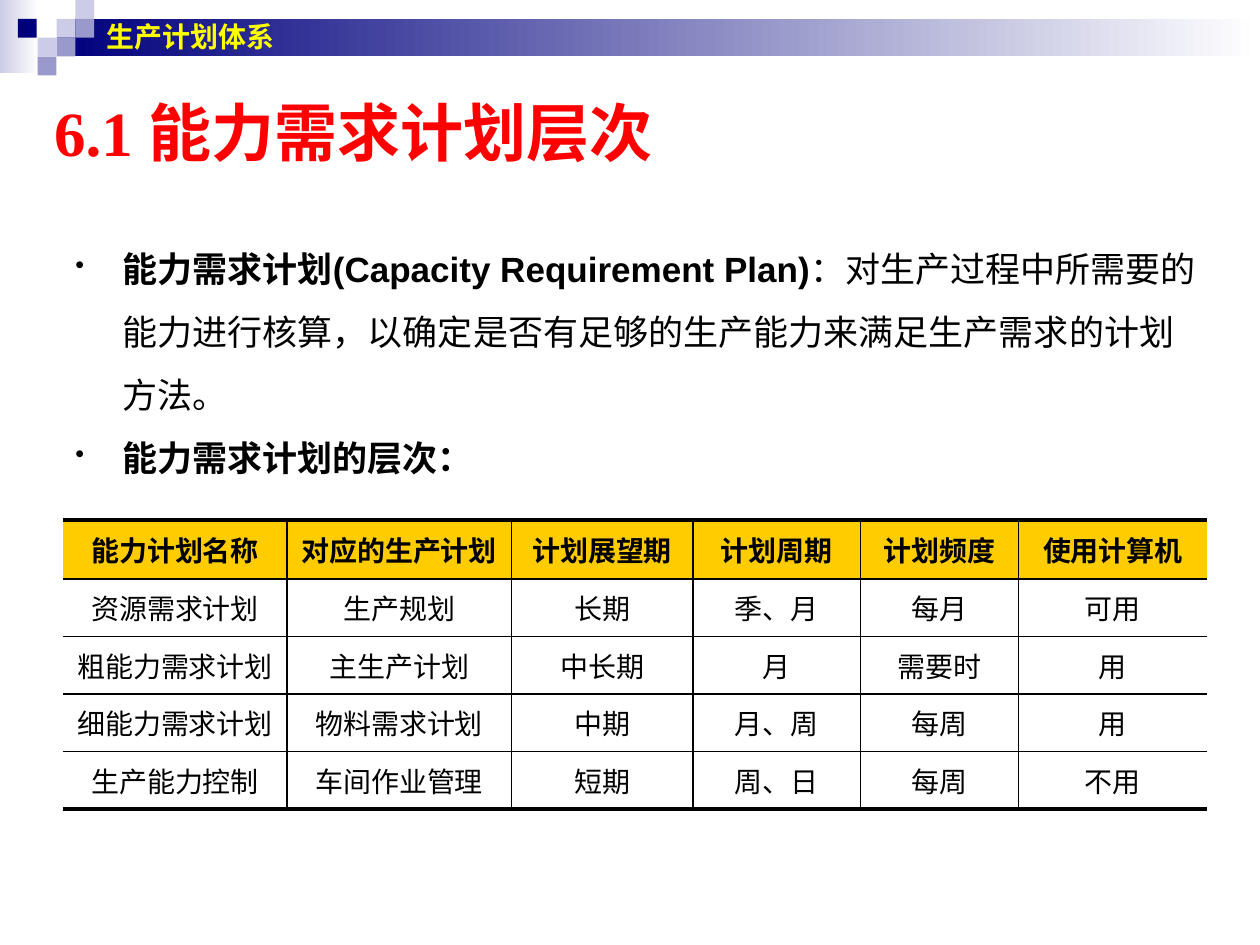
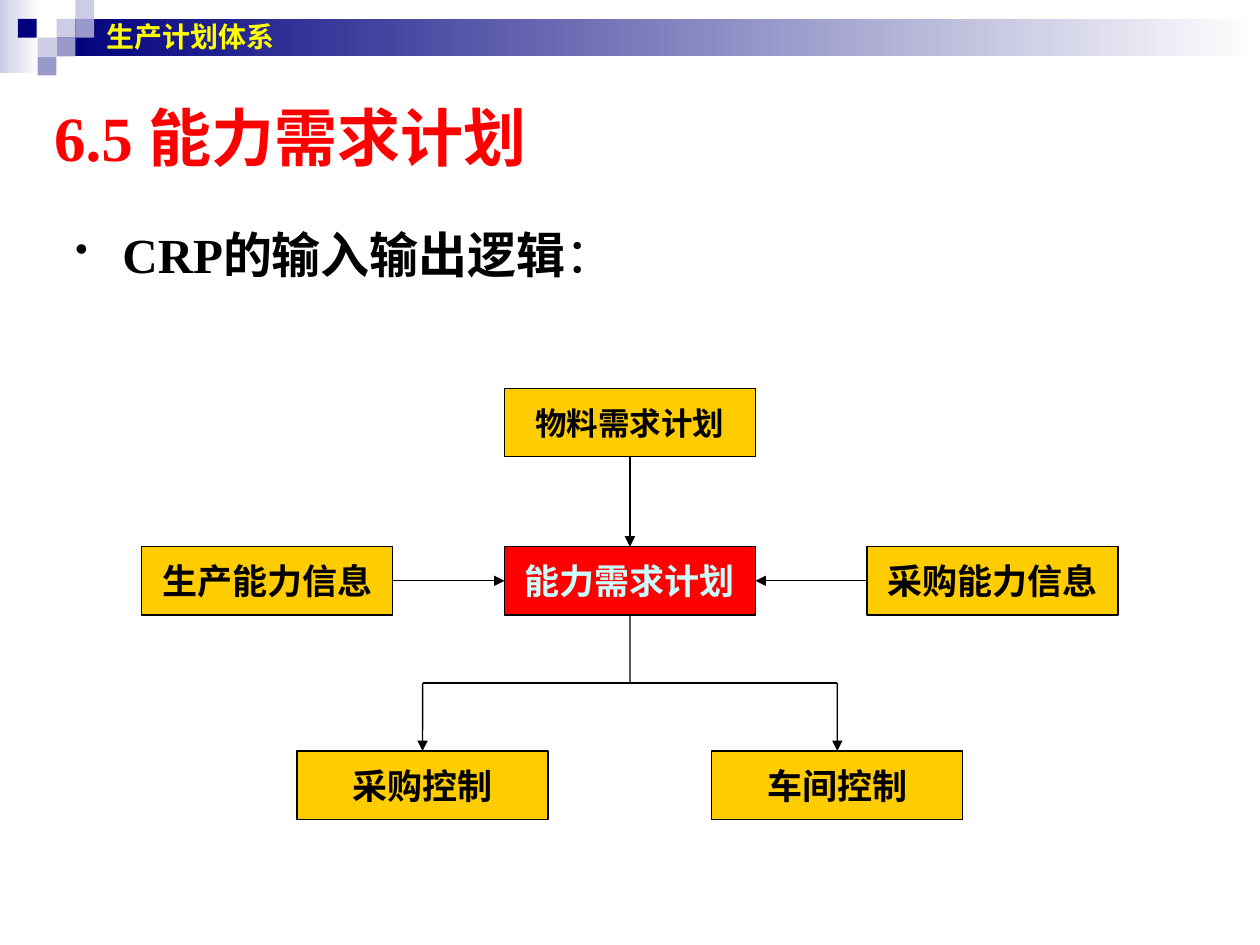
from lxml import etree
from pptx import Presentation
from pptx import util as u
from pptx.dml.color import RGBColor
from pptx.enum import lang, shapes, text
from pptx.oxml import ns

COLORS = {
    "black": "000000", "white": "FFFFFF", "navy": "00007D",
    "lilac": "9999CC", "pale": "CCCCE6", "yellow": "FFFF00",
    "red": "FF0000", "gold": "FFCC00", "ice": "CCFFFF",
}
SERIF, SANS = "Times New Roman", "Arial"
TILE = 0.38
CENTER_X = 12.7
BOX_WIDTH, BOX_HEIGHT = 5.06, 1.38

CAPACITY_ROWS = [
    ["能力计划名称", "对应的生产计划", "计划展望期", "计划周期", "计划频度", "使用计算机"],
    ["资源需求计划", "生产规划", "长期", "季、月", "每月", "可用"],
    ["粗能力需求计划", "主生产计划", "中长期", "月", "需要时", "用"],
    ["细能力需求计划", "物料需求计划", "中期", "月、周", "每周", "用"],
    ["生产能力控制", "车间作业管理", "短期", "周、日", "每周", "不用"],
]
COLUMN_WIDTHS = [4.52, 4.52, 3.66, 3.38, 3.18, 3.81]


def color(name):
    """Return the named colour."""
    return RGBColor.from_string(COLORS[name])


def cm(*lengths):
    """Convert centimetre numbers to lengths."""
    return [u.Cm(length) for length in lengths]


def child(parent, tag, **attributes):
    """Append a drawing element with attributes."""
    return etree.SubElement(parent, ns.qn(tag), {k: str(v) for k, v in attributes.items()})


def add_bullet(para):
    """Give a paragraph a small round bullet with a hanging indent."""
    props = para._p.get_or_add_pPr()
    props.set("marL", str(u.Cm(0.95)))
    props.set("indent", str(u.Cm(-0.95)))
    child(child(props, "a:buClr"), "a:srgbClr", val=COLORS["black"])
    child(props, "a:buSzPct", val=75000)
    child(props, "a:buChar", char="•")


def write(frame, *paras, size, font=SANS, ink="black", align=None,
          anchor="MIDDLE", bullet=False, spacing=None):
    """Write paragraphs, each a list of (text, bold) spans."""
    frame.word_wrap = True
    frame.vertical_anchor = text.MSO_ANCHOR[anchor]
    for index, spans in enumerate(paras):
        para = frame.add_paragraph() if index else frame.paragraphs[0]
        if bullet:
            add_bullet(para)
        para.alignment = align
        para.line_spacing = spacing
        for words, bold in spans:
            span = para.add_run()
            span.text = words
            span.font.size = u.Pt(size)
            span.font.name = font
            span.font.bold = bold
            span.font.color.rgb = color(ink)
            span.font.language_id = lang.MSO_LANGUAGE_ID.SIMPLIFIED_CHINESE


def add_text(page, place, *paras, **style):
    """Add a text box at (left, top, width, height)."""
    box = page.shapes.add_textbox(*cm(*place))
    write(box.text_frame, *paras, **style)


def add_rect(page, place, fill, fade=None, outline=None):
    """Add a rectangle with a solid fill or a fade to a second colour."""
    box = page.shapes.add_shape(shapes.MSO_SHAPE.RECTANGLE, *cm(*place))
    box.shadow.inherit = False
    if fade:
        box.fill.gradient()
        box.fill.gradient_angle = 0
        for stop, name in zip(box.fill.gradient_stops, (fill, fade)):
            stop.color.rgb = color(name)
    else:
        box.fill.solid()
        box.fill.fore_color.rgb = color(fill)
    if outline:
        box.line.color.rgb = color(outline)
        box.line.width = u.Pt(0.75)
    else:
        box.line.fill.background()
    return box


def add_box(page, middle, top, label, fill="gold", size=20, font=SERIF, ink="black"):
    """Add a labelled diagram box centred on a horizontal position."""
    place = (middle - BOX_WIDTH / 2, top, BOX_WIDTH, BOX_HEIGHT)
    box = add_rect(page, place, fill, outline="black")
    write(box.text_frame, [(label, True)], size=size, font=font, ink=ink,
          align=text.PP_ALIGN.CENTER)
    return box


def add_link(page, start, finish, arrow=True):
    """Draw a line between ends, each an (x, y) point or a (box, side) joint."""
    joints = [hasattr(end[0], "shape_id") for end in (start, finish)]
    points = [(0, 0) if joined else cm(*end) for joined, end in zip(joints, (start, finish))]
    link = page.shapes.add_connector(shapes.MSO_CONNECTOR.STRAIGHT, *points[0], *points[1])
    if joints[0]:
        link.begin_connect(*start)
    if joints[1]:
        link.end_connect(*finish)
    link.line.color.rgb = color("black")
    link.line.width = u.Pt(0.75)
    if arrow:
        child(link.line._get_or_add_ln(), "a:tailEnd", type="triangle")
    child(link._element.spPr, "a:effectLst")


def add_border(cell, side, points):
    """Rule one side of a cell, or clear it when points is 0."""
    line = child(cell._tc.get_or_add_tcPr(), f"a:ln{side}", w=u.Pt(points))
    if points:
        child(child(line, "a:solidFill"), "a:srgbClr", val=COLORS["black"])
    else:
        child(line, "a:noFill")


def add_table(page, left, top, rows, widths, heights):
    """Add a ruled table with a gold heading row and open sides."""
    place = cm(left, top, sum(widths), sum(heights))
    table = page.shapes.add_table(len(rows), len(widths), *place).table
    table.first_row = table.horz_banding = False
    for column, width in zip(table.columns, widths):
        column.width = u.Cm(width)
    last_row, last_column = len(rows) - 1, len(widths) - 1
    for r, labels in enumerate(rows):
        table.rows[r].height = u.Cm(heights[r])
        for c, label in enumerate(labels):
            cell = table.cell(r, c)
            add_border(cell, "L", 1 if c else 0)
            add_border(cell, "R", 1 if c < last_column else 0)
            add_border(cell, "T", 1 if r else 2.25)
            add_border(cell, "B", 1 if r < last_row else 2.25)
            if r:
                cell.fill.background()
            else:
                cell.fill.solid()
                cell.fill.fore_color.rgb = color("gold")
            write(cell.text_frame, [(label, r == 0)], size=16, align=text.PP_ALIGN.CENTER)
            cell.vertical_anchor = text.MSO_ANCHOR.MIDDLE


def add_page(deck, title, top, height):
    """Add a page with the header band, its tiles and a red title."""
    page = deck.slides.add_slide(deck.slide_layouts[6])
    add_rect(page, (0, 0, 0.79, 1.47), "pale", fade="white")
    add_rect(page, (3 * TILE, TILE, 25.4 - 3 * TILE, 2 * TILE), "navy", fade="white")
    tiles = [(3, 1, "pale"), (4, 0, "pale"), (4, 1, "lilac"), (2, 2, "pale"),
             (0.95, 1, "navy"), (3, 2, "lilac"), (2, 3, "lilac")]
    for column, row, fill in tiles:
        add_rect(page, (column * TILE, row * TILE, TILE, TILE), fill)
    add_text(page, (0.84, top, 22.86, height), [(title, True)],
             size=36, font=SERIF, ink="red")
    add_text(page, (1.9, 0, 22.43, 1.47), [("生产计划体系", True)], size=16, ink="yellow")
    return page


def add_levels_page(deck):
    """Add the page on the levels of capacity planning."""
    page = add_page(deck, "6.1 能力需求计划层次", 1.7, 1.9)
    add_text(page, (1.27, 4.44, 23.29, 5.28),
             [("能力需求计划(Capacity Requirement Plan)", True),
              ("：对生产过程中所需要的能力进行核算，以确定是否有足够的生产能力来满足生产需求的计划方法。", False)],
             [("能力需求计划的层次：", True)],
             size=20, anchor="TOP", bullet=True, spacing=1.5)
    add_table(page, 1.27, 10.48, CAPACITY_ROWS, COLUMN_WIDTHS, [1.19] + [1.16] * 4)


def add_logic_page(deck):
    """Add the page on the inputs and outputs of capacity planning."""
    page = add_page(deck, "6.5 能力需求计划", 1.9, 1.7)
    add_text(page, (1.27, 3.81, 23.29, 2.74), [("CRP的输入输出逻辑", True), ("：", False)],
             size=28, font=SERIF, anchor="TOP", bullet=True, spacing=1.5)
    input_gap, output_gap = 7.31, 4.18
    plan_top, output_top = 11.02, 15.14
    bus = (plan_top + BOX_HEIGHT + output_top) / 2

    material = add_box(page, CENTER_X, 7.83, "物料需求计划", size=18, font=SANS)
    plan = add_box(page, CENTER_X, plan_top, "能力需求计划", fill="red", ink="ice")
    buying = add_box(page, CENTER_X + input_gap, plan_top, "采购能力信息")
    making = add_box(page, CENTER_X - input_gap, plan_top, "生产能力信息")
    add_link(page, (material, 2), (plan, 0))
    add_link(page, (making, 3), (plan, 1))
    add_link(page, (buying, 1), (plan, 3))
    add_link(page, (plan, 2), (CENTER_X, bus), arrow=False)
    add_link(page, (CENTER_X - output_gap, bus), (CENTER_X + output_gap, bus), arrow=False)
    for middle, label in ((CENTER_X - output_gap, "采购控制"), (CENTER_X + output_gap, "车间控制")):
        control = add_box(page, middle, output_top, label)
        add_link(page, (middle, bus), (control, 0))


def main():
    """Build the deck."""
    deck = Presentation()
    deck.slide_width, deck.slide_height = cm(25.4, 19.05)
    add_levels_page(deck)
    add_logic_page(deck)
    deck.save("out.pptx")


if __name__ == "__main__":
    main()
